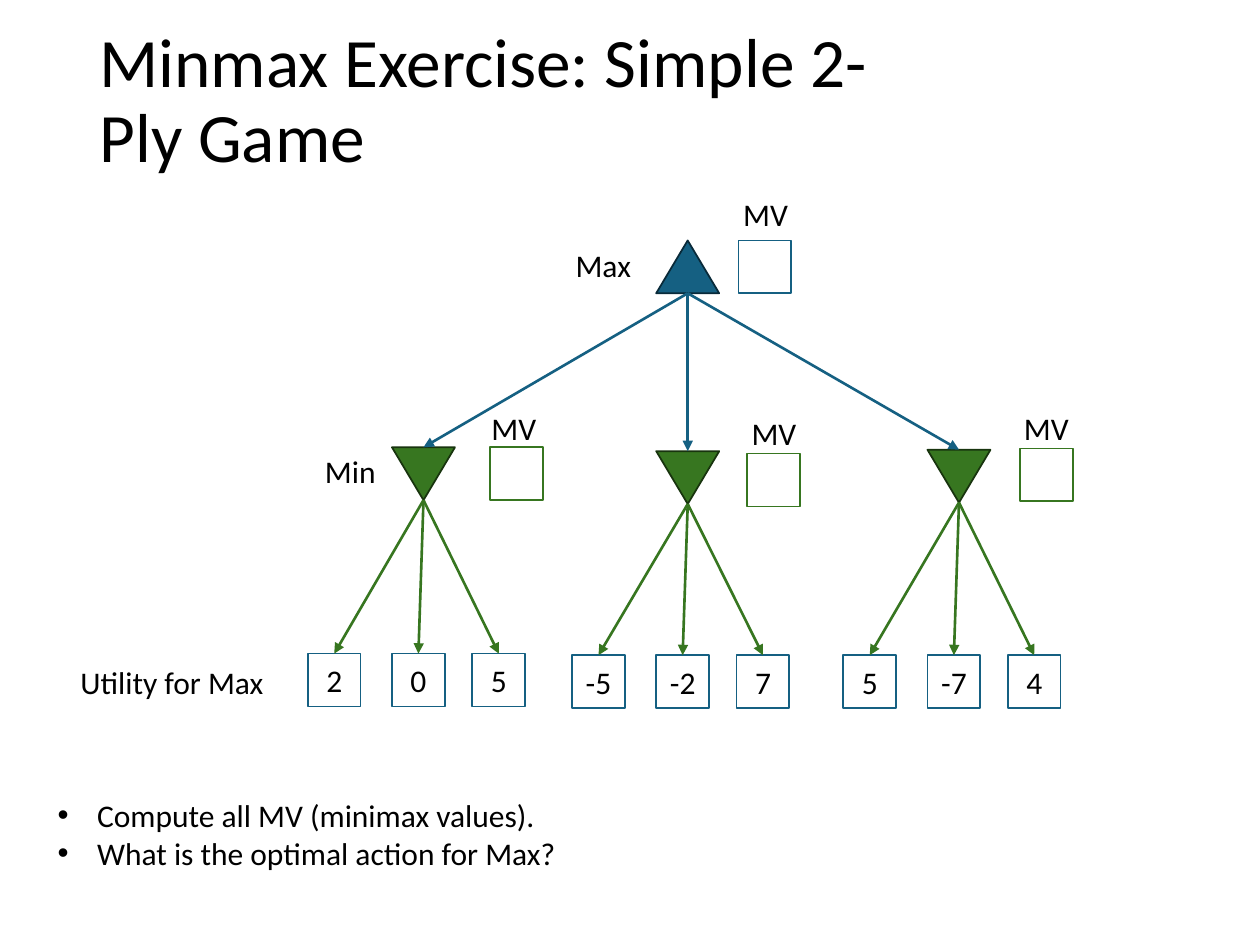
from dataclasses import dataclass

from lxml.etree import SubElement
from pptx import Presentation
from pptx.dml.color import RGBColor
from pptx.enum.shapes import MSO_CONNECTOR, MSO_SHAPE
from pptx.enum.text import MSO_ANCHOR, MSO_AUTO_SIZE, PP_ALIGN
from pptx.oxml.ns import qn
from pptx.util import Pt

COLORS = {"max": "156082", "max_edge": "092A39", "min": "377620",
          "min_edge": "18340E", "white": "FFFFFF", "text": "000000"}
FONT = "Calibri"
TRIANGLE_WIDTH, TRIANGLE_HEIGHT = 36, 30.2
SQUARE = 30.2
LEAF_OFFSETS = (-51, -2.9, 43)  # leaf centres relative to their parent


@dataclass
class Node:
    player: str
    center: float
    top: float
    value_box: tuple[float, float]
    value_label: tuple[float, float]
    leaf_top: float = 0
    utilities: tuple[str, ...] = ()

    @property
    def bottom(self) -> float:
        return self.top + TRIANGLE_HEIGHT


ROOT = Node("max", 393, 137.4, (422, 137.4), (417.6, 108))
CHILDREN = [
    Node("min", 242, 255.6, (280, 255.5), (273.8, 230.4), 373.5, ("2", "0", "5")),
    Node("min", 393, 257.8, (426.8, 259.2), (422.4, 232.8), 374.4, ("-5", "-2", "7")),
    Node("min", 548, 257, (583, 256.3), (578, 230.4), 374.4, ("5", "-7", "4")),
]


def color(name: str) -> RGBColor:
    return RGBColor.from_string(COLORS[name])


def add_run(paragraph, text: str, size: float = 18) -> None:
    run = paragraph.add_run()
    run.text = text
    run.font.name = FONT
    run.font.size = Pt(size)
    run.font.color.rgb = color("text")


def add_shape(slide, kind, left: float, top: float, width: float, height: float,
              fill: str, line: str):
    shape = slide.shapes.add_shape(kind, Pt(left), Pt(top), Pt(width), Pt(height))
    shape.shadow.inherit = False
    shape.fill.solid()
    shape.fill.fore_color.rgb = color(fill)
    shape.line.color.rgb = color(line)
    shape.line.width = Pt(1)
    return shape


def add_triangle(slide, node: Node) -> None:
    shape = add_shape(slide, MSO_SHAPE.ISOSCELES_TRIANGLE,
                      node.center - TRIANGLE_WIDTH / 2, node.top,
                      TRIANGLE_WIDTH, TRIANGLE_HEIGHT,
                      node.player, f"{node.player}_edge")
    if node.player == "min":
        shape.rotation = 180


def add_square(slide, left: float, top: float, line: str, text: str = "") -> None:
    shape = add_shape(slide, MSO_SHAPE.RECTANGLE, left, top, SQUARE, SQUARE,
                      "white", line)
    if text:
        frame = shape.text_frame
        frame.margin_left = frame.margin_right = Pt(0)
        frame.vertical_anchor = MSO_ANCHOR.MIDDLE
        frame.paragraphs[0].alignment = PP_ALIGN.CENTER
        add_run(frame.paragraphs[0], text)


def add_arrow(slide, start: tuple[float, float], end: tuple[float, float],
              line: str) -> None:
    connector = slide.shapes.add_connector(
        MSO_CONNECTOR.STRAIGHT, *(Pt(value) for value in start + end))
    connector.line.color.rgb = color(line)
    connector.line.width = Pt(1.5)
    properties = connector._element.spPr
    SubElement(properties.find(qn("a:ln")), qn("a:tailEnd"), type="triangle")
    SubElement(properties, qn("a:effectLst"))


def add_text(slide, left: float, top: float, width: float, height: float,
             lines: list[str], wrap: bool = True, bullets: bool = False) -> None:
    box = slide.shapes.add_textbox(Pt(left), Pt(top), Pt(width), Pt(height))
    frame = box.text_frame
    frame.word_wrap = wrap
    frame.auto_size = MSO_AUTO_SIZE.SHAPE_TO_FIT_TEXT
    for index, text in enumerate(lines):
        paragraph = frame.add_paragraph() if index else frame.paragraphs[0]
        if bullets:
            properties = paragraph._p.get_or_add_pPr()
            properties.set("marL", str(Pt(22.5)))
            properties.set("indent", str(-Pt(22.5)))
            SubElement(properties, qn("a:buFont"), typeface="Arial")
            SubElement(properties, qn("a:buChar"), char="•")
        add_run(paragraph, text)


def add_value(slide, node: Node) -> None:
    add_square(slide, *node.value_box, node.player)
    add_text(slide, *node.value_label, 40.3, 29, ["MV"], wrap=False)


def add_title(slide, text: str) -> None:
    title = slide.shapes.title
    title.left, title.top, title.width, title.height = (
        Pt(49.7), Pt(20.9), Pt(499), Pt(75.6))
    frame = title.text_frame
    frame.word_wrap = True
    frame.auto_size = MSO_AUTO_SIZE.NONE
    frame.vertical_anchor = MSO_ANCHOR.MIDDLE
    paragraph = frame.paragraphs[0]
    paragraph.alignment = PP_ALIGN.LEFT
    paragraph.line_spacing = 0.9
    add_run(paragraph, text, 39.6)


def main() -> None:
    presentation = Presentation()
    presentation.slide_width, presentation.slide_height = Pt(720), Pt(540)
    slide = presentation.slides.add_slide(presentation.slide_layouts[5])
    add_title(slide, "Minmax Exercise: Simple 2-Ply Game")

    # Players and the moves of Max
    for node in [ROOT, *CHILDREN]:
        add_triangle(slide, node)
    for child in CHILDREN:
        add_arrow(slide, (ROOT.center, ROOT.bottom), (child.center, child.top), "max")

    # Utilities and the moves of Min
    for child in CHILDREN:
        for offset, utility in zip(LEAF_OFFSETS, child.utilities):
            leaf_center = child.center + offset
            add_square(slide, leaf_center - SQUARE / 2, child.leaf_top, "max", utility)
            add_arrow(slide, (child.center, child.bottom),
                      (leaf_center, child.leaf_top), "min")

    # Row labels
    add_text(slide, 38.9, 375.5, 124.6, 29, ["Utility for Max"])
    add_text(slide, 321.8, 136.8, 62, 29, ["Max"])
    add_text(slide, 178.6, 254.9, 62, 29, ["Min"])

    # Minimax values to fill in
    for node in [ROOT, *CHILDREN]:
        add_value(slide, node)

    # Questions
    add_text(slide, 25.9, 451.4, 653, 51,
             ["Compute all MV (minimax values).",
              "What is the optimal action for Max?"], bullets=True)

    presentation.save("out.pptx")


if __name__ == "__main__":
    main()
